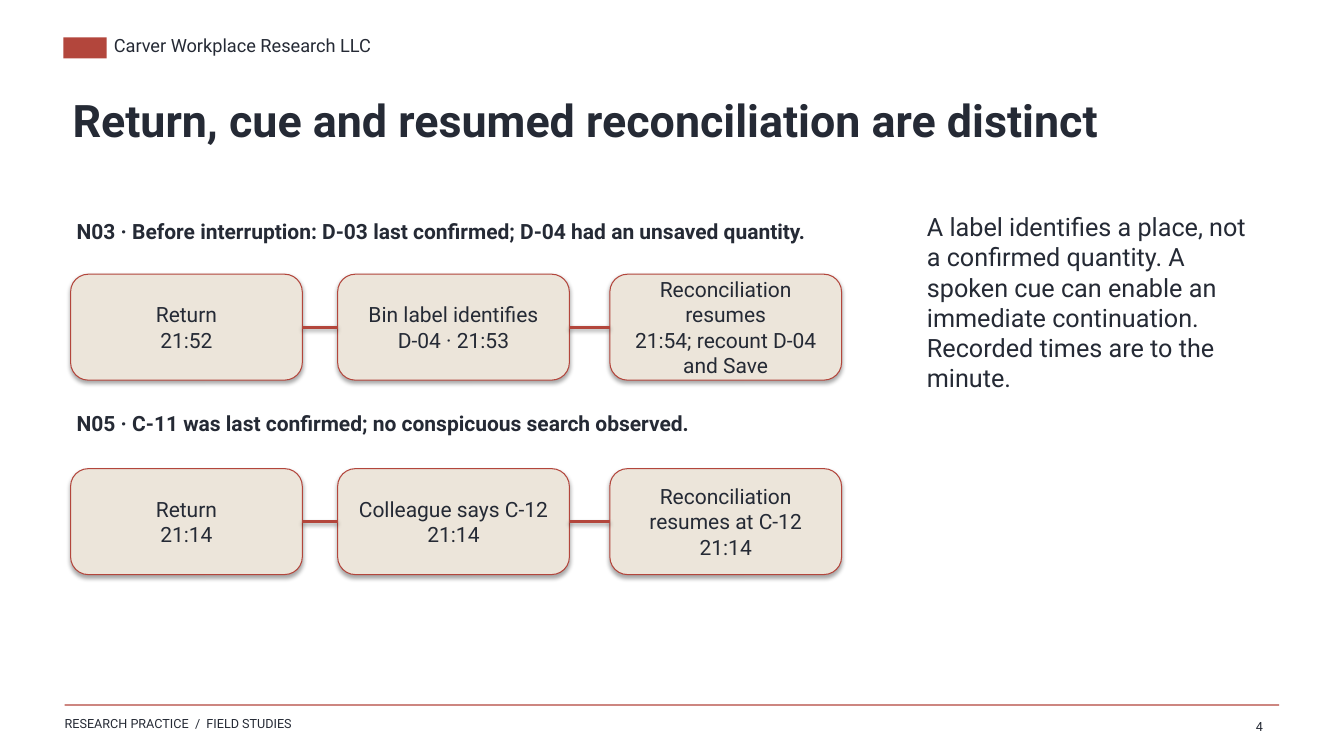
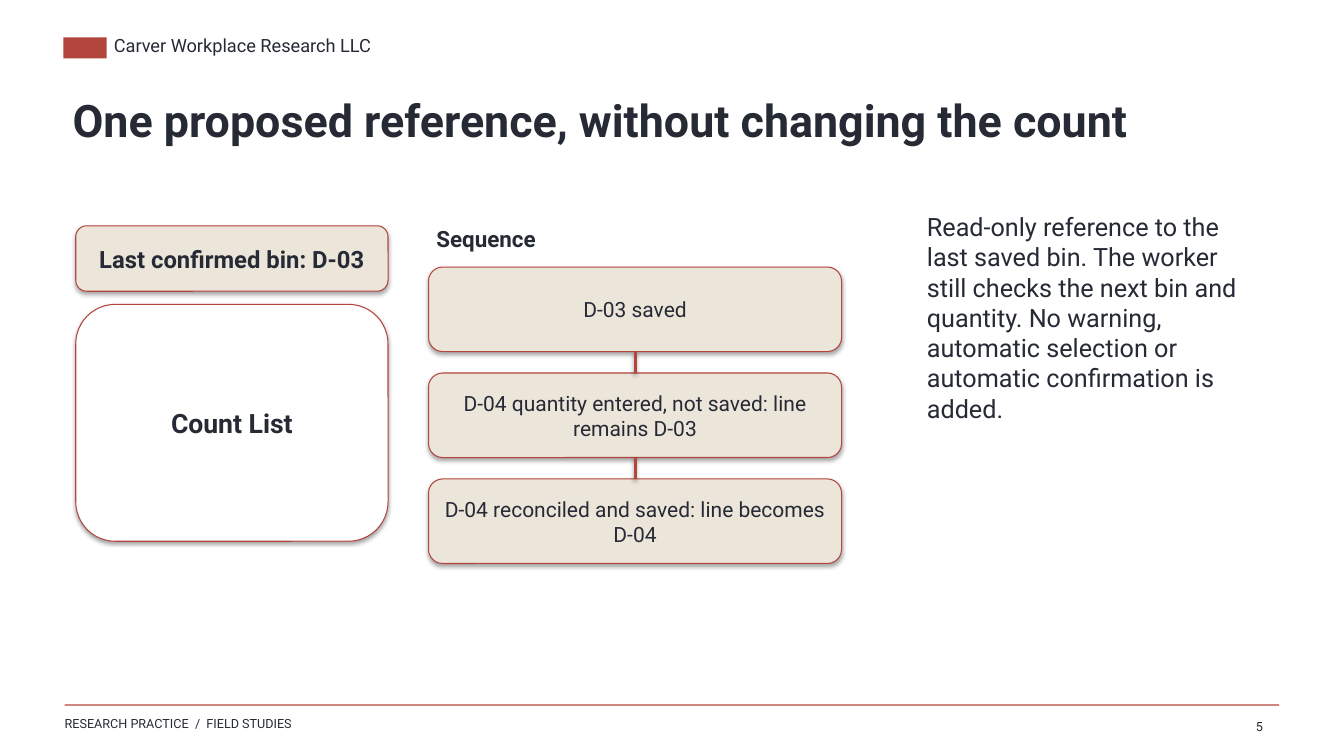
from pptx import Presentation
from pptx.dml.color import RGBColor
from pptx.enum.shapes import MSO_CONNECTOR as Connector, MSO_SHAPE as Shape
from pptx.enum.text import MSO_ANCHOR as Anchor, PP_ALIGN as Align
from pptx.util import Cm, Pt

INK = RGBColor(0x25, 0x2A, 0x35)
BRICK = RGBColor(0xB3, 0x46, 0x3C)
SAND = RGBColor(0xEC, 0xE5, 0xDA)
WHITE = RGBColor(0xFF, 0xFF, 0xFF)
FONT = "Roboto"

BRAND = "Carver Workplace Research LLC"
FOOTER = "RESEARCH PRACTICE  /  FIELD STUDIES"

RETURN_PAGE = {
    "number": 4,
    "title": "Return, cue and resumed reconciliation are distinct",
    "remark": "A label identifies a place, not a confirmed quantity. A spoken cue can "
              "enable an immediate continuation. Recorded times are to the minute.",
}
# Heading, heading top, card top, cards ("\v" is a line break)
CASES = [
    ("N03 · Before interruption: D-03 last confirmed; D-04 had an unsaved quantity.",
     5.38, 6.91,
     ["Return\v21:52", "Bin label identifies\vD-04 · 21:53",
      "Reconciliation resumes\v21:54; recount D-04 and Save"]),
    ("N05 · C-11 was last confirmed; no conspicuous search observed.",
     10.21, 11.81,
     ["Return\v21:14", "Colleague says C-12\v21:14",
      "Reconciliation resumes at C-12\v21:14"]),
]
CARD_LEFTS = [1.78, 8.51, 15.37]
CARD_SIZE = (5.84, 2.67)

REFERENCE_PAGE = {
    "number": 5,
    "title": "One proposed reference, without changing the count",
    "remark": "Read-only reference to the last saved bin. The worker still checks the "
              "next bin and quantity. No warning, automatic selection or automatic "
              "confirmation is added.",
}
SCREEN = [
    ("Last confirmed bin: D-03", (1.91, 5.69, 7.87, 1.65), 17, SAND),
    ("Count List", (1.91, 7.67, 7.87, 5.97), 19, WHITE),
]
SEQUENCE_TITLE = "Sequence"
SEQUENCE = [
    "D-03 saved",
    "D-04 quantity entered, not saved: line remains D-03",
    "D-04 reconciled and saved: line becomes D-04",
]
STEP_LEFT, STEP_TOP, STEP_PITCH = 10.8, 6.73, 2.67
STEP_SIZE = (10.41, 2.13)

TOP, LEFT, BOTTOM, RIGHT = range(4)  # connection sites of a rounded rectangle


def set_all(target, values):
    for name, value in values.items():
        setattr(target, name, value)


def write(box, text, size, bold=False, align=Align.LEFT, **frame_values):
    frame = box.text_frame
    set_all(frame, {"word_wrap": True, "vertical_anchor": Anchor.TOP,
                    "margin_left": Cm(0.2), "margin_right": Cm(0.2),
                    "margin_top": Cm(0.13), "margin_bottom": Cm(0.13),
                    **frame_values})
    para = frame.paragraphs[0]
    para.text = text
    para.alignment = align
    for span in para.runs:
        set_all(span.font, {"name": FONT, "size": Pt(size), "bold": bold})
        span.font.color.rgb = INK


def add_text(page, text, area, size, **style):
    box = page.shapes.add_textbox(*map(Cm, area))
    write(box, text, size, **style)


def add_bar(page, area):
    bar = page.shapes.add_shape(Shape.RECTANGLE, *map(Cm, area))
    bar.shadow.inherit = False
    bar.fill.solid()
    bar.fill.fore_color.rgb = BRICK
    bar.line.fill.background()


def add_card(page, text, area, size=15, fill=SAND, bold=False):
    """Add a rounded card that keeps the soft shadow of the theme."""
    card = page.shapes.add_shape(Shape.ROUNDED_RECTANGLE, *map(Cm, area))
    card.fill.solid()
    card.fill.fore_color.rgb = fill
    card.line.color.rgb = BRICK
    card.line.width = Pt(0.75)
    write(card, text, size, bold, Align.CENTER, vertical_anchor=Anchor.MIDDLE)
    return card


def link_cards(page, cards, start_site, end_site):
    """Join each card to the next; the lines keep the theme shadow."""
    for first, second in zip(cards, cards[1:]):
        link = page.shapes.add_connector(Connector.STRAIGHT, 0, 0, 0, 0)
        link.begin_connect(first, start_site)
        link.end_connect(second, end_site)
        link.line.color.rgb = BRICK
        link.line.width = Pt(2)


def add_page(deck, content):
    """Add a slide with the shared header, title, side remark and footer."""
    page = deck.slides.add_slide(deck.slide_layouts[6])
    add_bar(page, (1.6, 0.94, 1.09, 0.53))
    add_bar(page, (1.63, 17.75, 30.61, 0.03))
    flush = {"margin_left": 0, "margin_top": 0, "word_wrap": False}
    add_text(page, BRAND, (2.87, 0.86, 13.97, 0.76), 13, **flush)
    add_text(page, FOOTER, (1.63, 18.03, 13.97, 0.61), 9, **flush)
    add_text(page, content["title"], (1.63, 2.34, 30.48, 2.54), 32,
             bold=True, margin_top=0)
    add_text(page, content["remark"], (23.16, 5.33, 8.84, 11.15), 18, margin_top=0)
    add_text(page, str(content["number"]), (30.81, 17.98, 1.22, 0.51), 9,
             align=Align.RIGHT)
    return page


def build_return_page(deck):
    page = add_page(deck, RETURN_PAGE)
    for heading, heading_top, card_top, texts in CASES:
        add_text(page, heading, (1.73, heading_top, 20.19, 1.1), 15, bold=True)
        cards = [add_card(page, text, (left, card_top, *CARD_SIZE))
                 for text, left in zip(texts, CARD_LEFTS)]
        link_cards(page, cards, RIGHT, LEFT)


def build_reference_page(deck):
    page = add_page(deck, REFERENCE_PAGE)
    for text, area, size, fill in SCREEN:
        add_card(page, text, area, size, fill, bold=True)
    add_text(page, SEQUENCE_TITLE, (STEP_LEFT, 5.54, 10.54, 1.02), 16, bold=True)
    steps = [add_card(page, text, (STEP_LEFT, STEP_TOP + row * STEP_PITCH, *STEP_SIZE))
             for row, text in enumerate(SEQUENCE)]
    link_cards(page, steps, BOTTOM, TOP)


def main():
    deck = Presentation()
    deck.slide_width, deck.slide_height = Cm(33.87), Cm(19.05)
    build_return_page(deck)
    build_reference_page(deck)
    deck.save("out.pptx")


if __name__ == "__main__":
    main()
